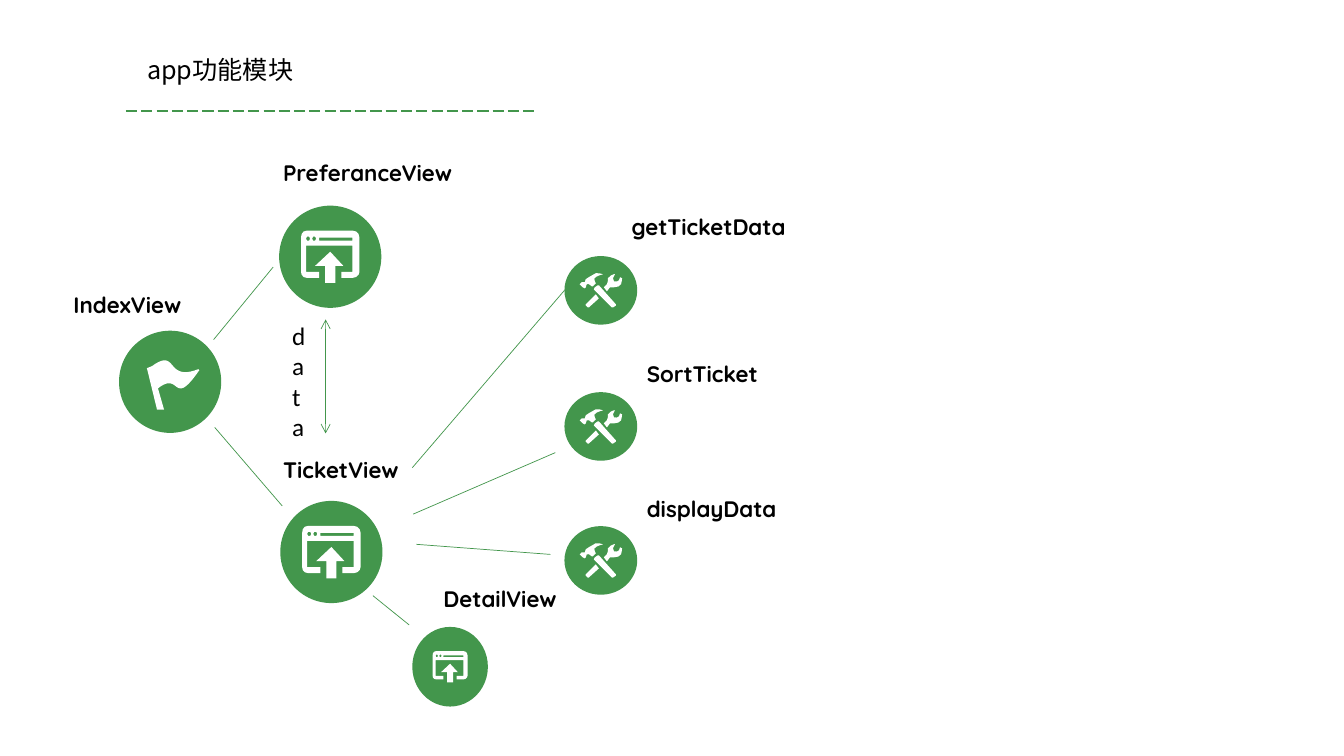
from dataclasses import dataclass
from math import ceil, dist
from typing import Optional

from lxml import etree
from pptx import Presentation
from pptx.dml.color import RGBColor
from pptx.enum.dml import MSO_LINE
from pptx.enum.shapes import MSO_CONNECTOR as Connector
from pptx.enum.shapes import MSO_SHAPE as Preset
from pptx.enum.text import MSO_ANCHOR as Anchor
from pptx.enum.text import MSO_AUTO_SIZE as AutoSize
from pptx.enum.text import PP_ALIGN as Align
from pptx.oxml.ns import qn
from pptx.shapes.base import BaseShape
from pptx.slide import Slide
from pptx.util import Pt

GREEN = "43964C"
WHITE = "FFFFFF"
BLACK = "000000"
CURVE_STEP = 5


@dataclass(frozen=True)
class Icon:
    width: float
    height: float
    contours: list[list[tuple]]


@dataclass(frozen=True)
class Label:
    text: str
    left: float
    top: float
    width: float
    height: float = 28.8
    font: str = "Quicksand"
    size: float = 16
    bold: bool = True
    spacing: float = 1.1


@dataclass(frozen=True)
class Node:
    left: float
    top: float
    width: float
    height: float
    icon: Icon
    scale: float
    label: Label


@dataclass(frozen=True)
class Link:
    start: tuple[float, float]
    end: tuple[float, float]
    weight: float = 0.5
    dash: Optional[MSO_LINE] = None
    arrows: bool = False


def dot(x: float, y: float) -> list[tuple]:
    return [(x - 1, y - 2), (x + 1, y - 2), (x + 2, y), (x + 1, y + 2),
            (x - 1, y + 2), (x - 2, y)]


FLAG = Icon(46, 69, [
    [(51, 22), (18, 35, 31, 0, 5, 19), (0, 21), (10, 62), (17, 62), (11, 41),
     (34, 23, 25, 62, 52, 23), (53, 23, 52, 22, 51, 22)],
])
WINDOW = Icon(58, 52, [
    [(51, 0), (6, 0), (2, 0, 0, 3, 0, 7), (0, 41), (0, 44, 2, 47, 6, 47),
     (18, 47), (18, 41), (5, 41), (5, 15), (51, 15), (51, 41), (40, 41),
     (40, 47), (51, 47), (55, 47, 58, 44, 58, 41), (58, 7), (58, 3, 55, 0, 51, 0)],
    dot(7, 8),
    dot(13, 8),
    [(51, 10), (18, 10), (18, 7), (51, 7)],
    [(29, 21), (14, 35), (24, 35), (24, 52), (34, 52), (34, 35), (42, 35)],
])
TOOLS = Icon(42, 34, [
    [(7, 11), (8, 10, 10, 11, 12, 13), (13, 13), (16, 10), (15, 8),
     (11, 3, 25, 1, 23, 1), (22, 0, 17, 0, 16, 0), (14, 1, 11, 3, 9, 4),
     (6, 6), (5, 7, 6, 8, 5, 9), (2, 9), (0, 11), (3, 14), (5, 15),
     (6, 14), (6, 14, 6, 11, 7, 11)],
    [(19, 12), (18, 12), (15, 14), (14, 16), (32, 34), (33, 34), (36, 32), (36, 31)],
    [(42, 5), (41, 3, 41, 4, 40, 4), (39, 7), (38, 8, 36, 9, 34, 8),
     (32, 6, 33, 5, 33, 5), (35, 1), (34, 1), (33, 1, 29, 3, 28, 5),
     (27, 7, 29, 9, 27, 11), (24, 14), (27, 18), (30, 14),
     (31, 14, 33, 13, 34, 14), (38, 14, 39, 13, 41, 11), (42, 9, 42, 5, 42, 5)],
    [(6, 31), (6, 32), (8, 34), (9, 34), (19, 25), (16, 21)],
])

TITLE = Label("app功能模块", 97.9, 35.3, 285.8, 28.8, "Noto Sans CJK SC", 18, False, 1)
DATA = Label("data", 201.6, 225.4, 18, 94.3, "Calibri", 18, False, 1)

NODES = [
    Node(85, 236.2, 73, 73, FLAG, 0.72, Label("IndexView", 45.4, 202.3, 97.2)),
    Node(200.2, 357.8, 73, 73, WINDOW, 0.72, Label("TicketView", 195.1, 320.4, 99.4)),
    Node(199.4, 146.9, 73, 73, WINDOW, 0.72, Label("PreferanceView", 195.1, 108, 136.8)),
    Node(294.5, 447.8, 54, 56.9, WINDOW, 0.43, Label("DetailView", 309.6, 412.6, 104.4)),
] + [
    Node(403.2, top, 52, 49, TOOLS, 0.72, label)
    for top, label in [
        (182.9, Label("getTicketData", 444.2, 146.9, 136.8)),
        (280.1, Label("SortTicket", 455, 252, 136.8)),
        (375.8, Label("displayData", 455, 348.5, 136.8)),
    ]
]

LINKS = [
    Link((90, 79.2), (383.8, 79.2), 1, MSO_LINE.LONG_DASH),
    Link((152.6, 242.6), (195.1, 190.8)),
    Link((153.4, 305.3), (201.6, 361.4)),
    Link((294.5, 334.1), (403.2, 207.4)),
    Link((295.2, 367.2), (396.7, 323.3)),
    Link((297.4, 388.8), (393.1, 396)),
    Link((266.4, 425.5), (292.3, 446.4)),
    Link((232.6, 228.2), (232.6, 309.6), arrows=True),
]


def color(value: str) -> RGBColor:
    return RGBColor.from_string(value)


def paint(shape: BaseShape, fill: str) -> None:
    shape.shadow.inherit = False
    shape.fill.solid()
    shape.fill.fore_color.rgb = color(fill)
    shape.line.fill.background()


def flatten(contour: list[tuple]) -> list[tuple[float, float]]:
    points = [contour[0]]
    for step in contour[1:]:
        if len(step) == 2:
            points.append(step)
            continue
        controls = [points[-1], step[:2], step[2:4], step[4:]]
        count = ceil(sum(map(dist, controls, controls[1:])) / CURVE_STEP)
        for index in range(1, count + 1):
            t = index / count
            weights = [(1 - t) ** 3, 3 * t * (1 - t) ** 2, 3 * t * t * (1 - t), t ** 3]
            points.append(tuple(sum(w * c[axis] for w, c in zip(weights, controls))
                                for axis in (0, 1)))
    return points


def draw_node(slide: Slide, node: Node) -> None:
    circle = slide.shapes.add_shape(
        Preset.OVAL, Pt(node.left), Pt(node.top), Pt(node.width), Pt(node.height))
    paint(circle, GREEN)
    left = node.left + (node.width - node.icon.width * node.scale) / 2
    top = node.top + (node.height - node.icon.height * node.scale) / 2
    outlines = [[(Pt(left + x * node.scale), Pt(top + y * node.scale))
                 for x, y in flatten(contour)] for contour in node.icon.contours]
    builder = slide.shapes.build_freeform(*outlines[0][0])
    builder.add_line_segments(outlines[0][1:], close=True)
    for outline in outlines[1:]:
        builder.move_to(*outline[0])
        builder.add_line_segments(outline[1:], close=True)
    paint(builder.convert_to_shape(), WHITE)


def write_label(shape: BaseShape, label: Label) -> None:
    shape.left, shape.top = Pt(label.left), Pt(label.top)
    shape.width, shape.height = Pt(label.width), Pt(label.height)
    frame = shape.text_frame
    frame.text = label.text
    frame.word_wrap = True
    frame.auto_size = AutoSize.SHAPE_TO_FIT_TEXT
    frame.vertical_anchor = Anchor.TOP
    paragraph = frame.paragraphs[0]
    paragraph.alignment = Align.LEFT
    paragraph.line_spacing = label.spacing
    font = paragraph.font
    font.name, font.size, font.bold = label.font, Pt(label.size), label.bold
    font.color.rgb = color(BLACK)
    properties = paragraph._p.pPr.find(qn("a:defRPr"))
    etree.SubElement(properties, qn("a:ea")).set("typeface", label.font)


def draw_link(slide: Slide, link: Link) -> None:
    connector = slide.shapes.add_connector(
        Connector.STRAIGHT, *map(Pt, link.start), *map(Pt, link.end))
    line = connector.line
    line.color.rgb = color(GREEN)
    line.width = Pt(link.weight)
    if link.dash is not None:
        line.dash_style = link.dash
    if link.arrows:
        for end in ("a:headEnd", "a:tailEnd"):
            etree.SubElement(line._get_or_add_ln(), qn(end)).set("type", "arrow")
    etree.SubElement(connector._element.spPr, qn("a:effectLst"))


def main() -> None:
    presentation = Presentation()
    presentation.slide_width, presentation.slide_height = Pt(960), Pt(540)
    slide = presentation.slides.add_slide(presentation.slide_layouts[5])
    write_label(slide.shapes.title, TITLE)
    for node in NODES:
        draw_node(slide, node)
    for link in LINKS:
        draw_link(slide, link)
    for label in [node.label for node in NODES] + [DATA]:
        write_label(slide.shapes.add_textbox(0, 0, 0, 0), label)
    presentation.save("out.pptx")


if __name__ == "__main__":
    main()
